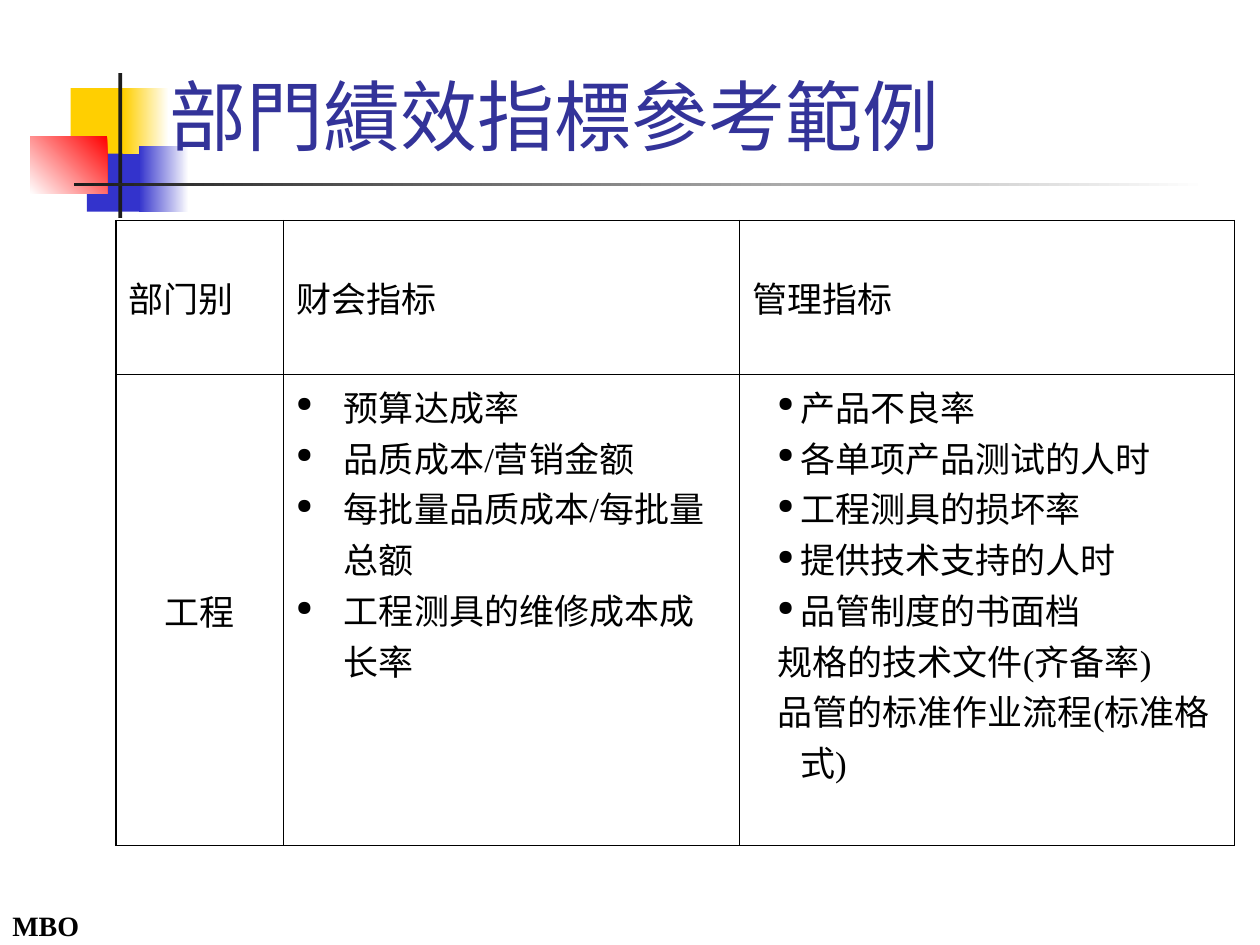
from lxml.etree import SubElement
from pptx import Presentation
from pptx.dml.color import RGBColor
from pptx.enum.shapes import MSO_SHAPE
from pptx.enum.text import MSO_ANCHOR as ANCHOR, PP_ALIGN as ALIGN
from pptx.oxml.ns import qn
from pptx.util import Inches, Pt

# Content
TITLE = "部門績效指標參考範例"
FOOTER = "MBO"
HEADERS = ["部门别", "财会指标", "管理指标"]
DEPARTMENT = "工程"
FINANCE = ["预算达成率", "品质成本/营销金额", "每批量品质成本/每批量总额",
           "工程测具的维修成本成长率"]
MANAGEMENT = ["产品不良率", "各单项产品测试的人时", "工程测具的损坏率",
              "提供技术支持的人时", "品管制度的书面档"]
MANAGEMENT_PLAIN = ["规格的技术文件(齐备率)", "品管的标准作业流程(标准格式)"]

# Look
SERIF = "Times New Roman"
BLACK, WHITE, DARK = "000000", "FFFFFF", "1C1C1C"
BLUE, YELLOW, RED, NAVY = "3333CC", "FFCF01", "FF0000", "333399"
COLUMN_WIDTHS = [1.33, 3.62, 3.93]
ROW_HEIGHTS = [1.22, 3.74]
OUTER, INNER = 0.96, 0.45

# Left, top, width, height, colours, gradient angle (counter-clockwise)
DECORATION = [
    (0.69, 1.16, 0.46, 0.52, [BLUE], None),
    (0.56, 0.70, 0.48, 0.52, [YELLOW], None),
    (0.98, 0.70, 0.36, 0.52, [WHITE, YELLOW], 180),
    (1.10, 1.16, 0.40, 0.52, [WHITE, BLUE], 180),
    (0.24, 1.08, 0.61, 0.46, [RED, WHITE], 225),
    (0.94, 0.58, 0.03, 1.15, [DARK], None),
    (0.59, 1.45, 9.00, 0.03, [WHITE, DARK], 180),
]


def color(value):
    return RGBColor.from_string(value)


def add_block(slide, left, top, width, height, colors, angle):
    shape = slide.shapes.add_shape(MSO_SHAPE.RECTANGLE, Inches(left), Inches(top),
                                   Inches(width), Inches(height))
    shape.shadow.inherit = False
    shape.line.fill.background()
    if angle is None:
        shape.fill.solid()
        shape.fill.fore_color.rgb = color(colors[0])
    else:
        shape.fill.gradient()
        shape.fill.gradient_angle = angle
        for stop, value in zip(shape.fill.gradient_stops, colors):
            stop.color.rgb = color(value)


def write(frame, text, size=20, font=SERIF, fill=BLACK, bold=False,
          align=ALIGN.LEFT, margin=0, indent=0, bullet=False):
    """Write one paragraph, filling the empty first one before adding more."""
    paragraph = frame.paragraphs[0] if not frame.text else frame.add_paragraph()
    paragraph.alignment = align
    properties = paragraph._p.get_or_add_pPr()
    properties.set("marL", str(Inches(margin)))
    properties.set("indent", str(Inches(indent)))
    if bullet:
        bullet_color = SubElement(properties, qn("a:buClr"))
        SubElement(bullet_color, qn("a:srgbClr"), val=fill)
        SubElement(properties, qn("a:buSzPct"), val="60000")
        SubElement(properties, qn("a:buChar"), char="●")
    else:
        SubElement(properties, qn("a:buNone"))
    run = paragraph.add_run()
    run.text = text
    run.font.size, run.font.name, run.font.bold = Pt(size), font, bold
    run.font.color.rgb = color(fill)


def add_text(slide, left, top, width, height, text, anchor=ANCHOR.TOP, **style):
    frame = slide.shapes.add_textbox(Inches(left), Inches(top), Inches(width),
                                     Inches(height)).text_frame
    frame.word_wrap = True
    frame.vertical_anchor = anchor
    write(frame, text, **style)


def format_cell(cell, row, column):
    at_edge = {"L": column == 0, "R": column == len(COLUMN_WIDTHS) - 1,
               "T": row == 0, "B": row == len(ROW_HEIGHTS) - 1}
    properties = cell._tc.get_or_add_tcPr()
    for side, outer in at_edge.items():
        line = SubElement(properties, qn(f"a:ln{side}"),
                          w=str(Pt(OUTER if outer else INNER)))
        SubElement(SubElement(line, qn("a:solidFill")), qn("a:srgbClr"), val=BLACK)
    cell.fill.background()
    cell.vertical_anchor = ANCHOR.TOP if row and column else ANCHOR.MIDDLE


def add_indicator_table(slide):
    table = slide.shapes.add_table(
        len(ROW_HEIGHTS), len(COLUMN_WIDTHS), Inches(0.92), Inches(1.75),
        Inches(sum(COLUMN_WIDTHS)), Inches(sum(ROW_HEIGHTS))).table
    table.first_row = table.horz_banding = False
    for column, width in zip(table.columns, COLUMN_WIDTHS):
        column.width = Inches(width)
    for row, height in zip(table.rows, ROW_HEIGHTS):
        row.height = Inches(height)

    hanging = dict(margin=0.38, indent=-0.38)
    listed = dict(margin=0.38, indent=-0.18)
    for column, header in enumerate(HEADERS):
        write(table.cell(0, column).text_frame, header, **hanging)
    write(table.cell(1, 0).text_frame, DEPARTMENT, align=ALIGN.CENTER, **hanging)
    for column, items, style in [(1, FINANCE, dict(hanging, bullet=True)),
                                 (2, MANAGEMENT, dict(listed, bullet=True)),
                                 (2, MANAGEMENT_PLAIN, listed)]:
        for item in items:
            write(table.cell(1, column).text_frame, item, **style)

    for row in range(len(ROW_HEIGHTS)):
        for column in range(len(COLUMN_WIDTHS)):
            format_cell(table.cell(row, column), row, column)


def main():
    presentation = Presentation()
    presentation.slide_width, presentation.slide_height = Inches(10), Inches(7.5)
    slide = presentation.slides.add_slide(presentation.slide_layouts[6])
    for block in DECORATION:
        add_block(slide, *block)
    add_text(slide, 0, 7.16, 1.38, 0.37, FOOTER, size=16, bold=True)
    add_text(slide, 1.25, 0.33, 8.52, 1, TITLE, anchor=ANCHOR.BOTTOM,
             size=44, font="Karla", fill=NAVY)
    add_indicator_table(slide)
    presentation.save("out.pptx")


if __name__ == "__main__":
    main()
